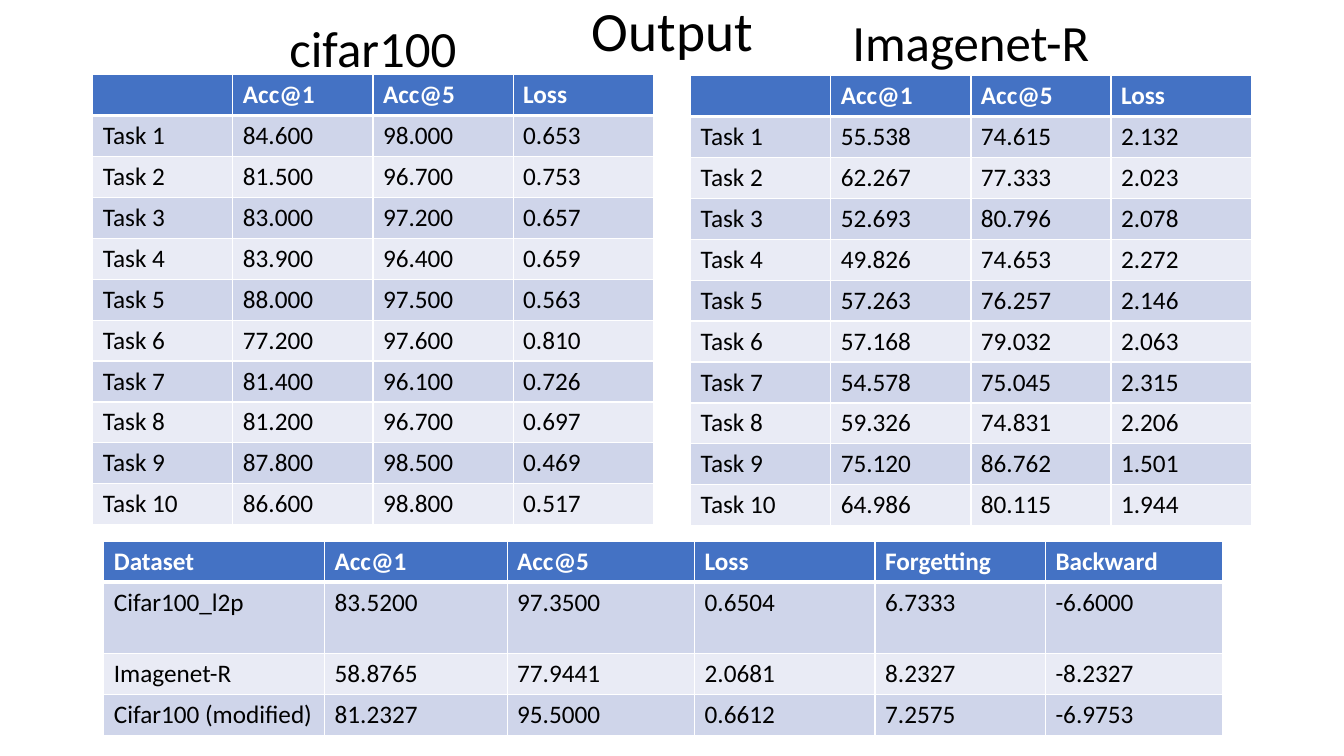
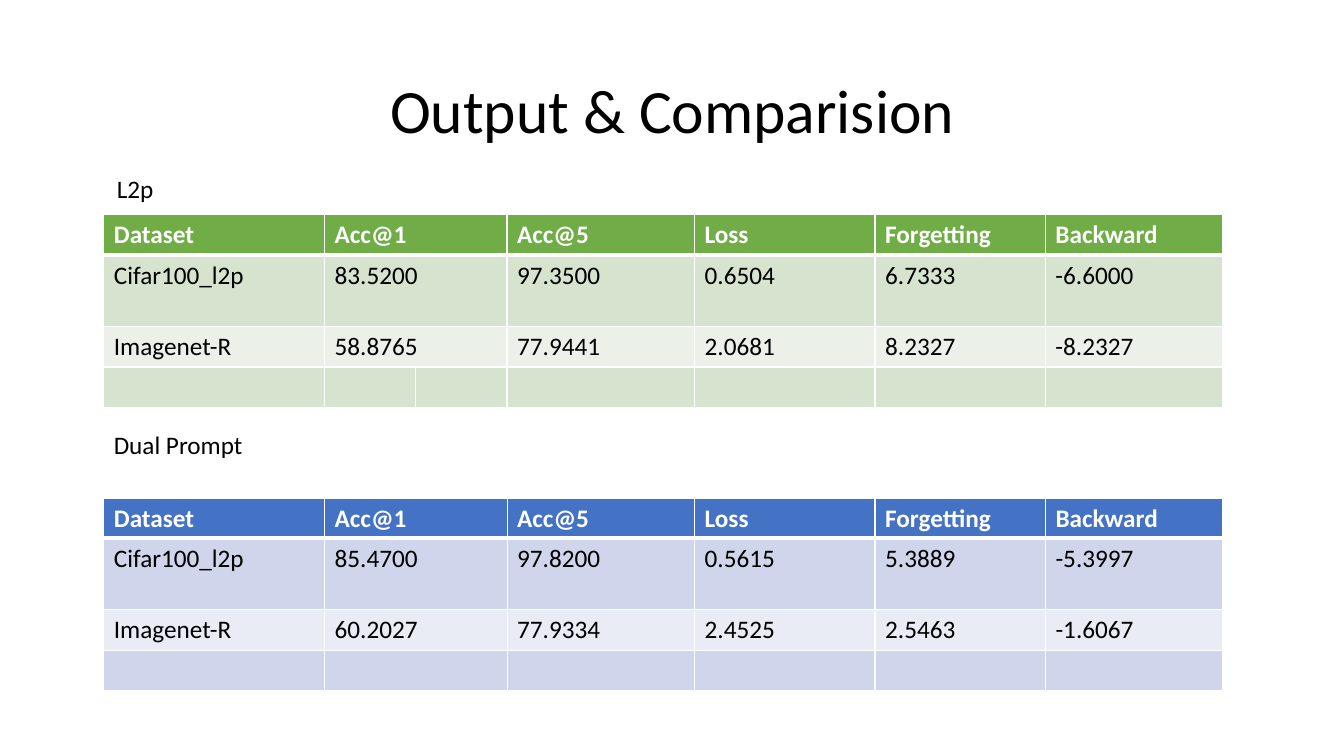
from collections import namedtuple

from lxml import etree
from pptx import Presentation
from pptx.dml.color import RGBColor
from pptx.enum import text as t
from pptx.oxml import ns
from pptx.util import Inches, Pt

FONT = "Calibri"
BLACK = RGBColor(0x00, 0x00, 0x00)
WHITE = RGBColor(0xFF, 0xFF, 0xFF)

# Header, odd row and even row fills of a table
Theme = namedtuple("Theme", "header odd even")
BLUE = Theme(RGBColor(0x44, 0x72, 0xC4), RGBColor(0xCF, 0xD5, 0xEA), RGBColor(0xE9, 0xEB, 0xF5))
GREEN = Theme(RGBColor(0x70, 0xAD, 0x47), RGBColor(0xD5, 0xE3, 0xCF), RGBColor(0xEB, 0xF1, 0xE9))

# Geometry in inches
TITLE_LEFT, TITLE_WIDTH = 0.92, 11.5
TASK_COLUMNS = [1.39] * 4
TASK_ROW = 0.406
SUMMARY_LEFT = 1.03
SUMMARY_COLUMNS = [2.19, 1.81, 1.86, 1.79, 1.69, 1.76]
SUMMARY_ROWS = [0.4, 0.71, 0.4, 0.4]

TASK_HEADER = ["", "Acc@1", "Acc@5", "Loss"]
SUMMARY_HEADER = ["Dataset", "Acc@1", "Acc@5", "Loss", "Forgetting", "Backward"]
EMPTY_ROW = [""] * len(SUMMARY_HEADER)

CIFAR_TASKS = [
    ("84.600", "98.000", "0.653"),
    ("81.500", "96.700", "0.753"),
    ("83.000", "97.200", "0.657"),
    ("83.900", "96.400", "0.659"),
    ("88.000", "97.500", "0.563"),
    ("77.200", "97.600", "0.810"),
    ("81.400", "96.100", "0.726"),
    ("81.200", "96.700", "0.697"),
    ("87.800", "98.500", "0.469"),
    ("86.600", "98.800", "0.517"),
]
IMAGENET_TASKS = [
    ("55.538", "74.615", "2.132"),
    ("62.267", "77.333", "2.023"),
    ("52.693", "80.796", "2.078"),
    ("49.826", "74.653", "2.272"),
    ("57.263", "76.257", "2.146"),
    ("57.168", "79.032", "2.063"),
    ("54.578", "75.045", "2.315"),
    ("59.326", "74.831", "2.206"),
    ("75.120", "86.762", "1.501"),
    ("64.986", "80.115", "1.944"),
]
L2P_RESULTS = [
    ["Cifar100_l2p", "83.5200", "97.3500", "0.6504", "6.7333", "-6.6000"],
    ["Imagenet-R", "58.8765", "77.9441", "2.0681", "8.2327", "-8.2327"],
]
MODIFIED_RESULT = ["Cifar100 (modified)", "81.2327", "95.5000", "0.6612", "7.2575", "-6.9753"]
DUAL_PROMPT_RESULTS = [
    ["Cifar100_l2p", "85.4700", "97.8200", "0.5615", "5.3889", "-5.3997"],
    ["Imagenet-R", "60.2027", "77.9334", "2.4525", "2.5463", "-1.6067"],
]


def set_text(frame, words, size, color=BLACK, bold=False):
    """Fill a text frame with one formatted paragraph."""
    frame.text = words
    para = frame.paragraphs[0]
    for span in para.runs:
        font = span.font
        font.name, font.size, font.bold = FONT, Pt(size), bold
        font.color.rgb = color
    return para


def add_title(page, words, top, height, size):
    title = page.shapes.title
    title.left, title.top = Inches(TITLE_LEFT), Inches(top)
    title.width, title.height = Inches(TITLE_WIDTH), Inches(height)
    frame = title.text_frame
    frame.auto_size = t.MSO_AUTO_SIZE.NONE
    frame.vertical_anchor = t.MSO_ANCHOR.MIDDLE
    para = set_text(frame, words, size)
    para.alignment = t.PP_ALIGN.CENTER
    para.line_spacing = 0.9


def add_label(page, words, left, top, width, height=0.4, size=18):
    box = page.shapes.add_textbox(Inches(left), Inches(top), Inches(width), Inches(height))
    box.text_frame.word_wrap = True
    return box.text_frame, set_text(box.text_frame, words, size)


def add_borders(cell, top, bottom):
    """Draw white borders; top and bottom are widths in points."""
    properties = cell._tc.get_or_add_tcPr()
    for tag, width in (("a:lnL", 1), ("a:lnR", 1), ("a:lnT", top), ("a:lnB", bottom)):
        line = etree.SubElement(properties, ns.qn(tag), w=str(Pt(width)))
        fill = etree.SubElement(line, ns.qn("a:solidFill"))
        etree.SubElement(fill, ns.qn("a:srgbClr"), val=str(WHITE))


def add_grid(page, rows, left, top, widths, heights, theme):
    """Add a table with a header row and alternating body rows."""
    frame = page.shapes.add_table(
        len(rows), len(widths), Inches(left), Inches(top),
        Inches(sum(widths)), Inches(sum(heights)))
    table = frame.table
    table.horz_banding = False
    for column, width in zip(table.columns, widths):
        column.width = Inches(width)
    for row_index, (row, height, values) in enumerate(zip(table.rows, heights, rows)):
        row.height = Inches(height)
        is_header = row_index == 0
        fill = theme.header if is_header else (theme.even, theme.odd)[row_index % 2]
        for cell, value in zip(row.cells, values):
            add_borders(cell, top=3 if row_index == 1 else 1, bottom=3 if is_header else 1)
            cell.fill.solid()
            cell.fill.fore_color.rgb = fill
            set_text(cell.text_frame, value, 18, WHITE if is_header else BLACK, is_header)
    return table


def add_task_table(page, heading, tasks, left, top, heading_top):
    """Add a per-task table with its heading centred above."""
    rows = [TASK_HEADER]
    rows += [(f"Task {number}", *scores) for number, scores in enumerate(tasks, 1)]
    add_grid(page, rows, left, top, TASK_COLUMNS, [TASK_ROW] * len(rows), BLUE)
    frame, para = add_label(page, heading, left, heading_top, sum(TASK_COLUMNS), 0.59, 36.3)
    frame.vertical_anchor = t.MSO_ANCHOR.MIDDLE
    para.alignment = t.PP_ALIGN.CENTER
    para.line_spacing = 0.7


def add_summary_table(page, results, top, theme=BLUE, split_last=False):
    """Add a dataset summary; split_last halves Acc@1 in the last row."""
    rows = [SUMMARY_HEADER, *results]
    widths = SUMMARY_COLUMNS
    if split_last:
        half = widths[1] / 2
        widths = [widths[0], half, half, *widths[2:]]
        rows = [[*row[:2], "", *row[2:]] for row in rows]
    table = add_grid(page, rows, SUMMARY_LEFT, top, widths, SUMMARY_ROWS, theme)
    if split_last:
        for row_index in range(len(rows) - 1):
            table.cell(row_index, 1).merge(table.cell(row_index, 2))


def build_output(page):
    add_title(page, "Output", 0.04, 0.59, 39.6)
    add_summary_table(page, [*L2P_RESULTS, MODIFIED_RESULT], 5.37)
    add_task_table(page, "cifar100", CIFAR_TASKS, 0.92, 0.74, 0.25)
    add_task_table(page, "Imagenet-R", IMAGENET_TASKS, 6.85, 0.75, 0.19)


def build_comparison(page):
    add_title(page, "Output & Comparision", 0.4, 1.45, 44)
    add_label(page, "L2p", 1.06, 1.67, 1.12)
    add_summary_table(page, [*L2P_RESULTS, EMPTY_ROW], 2.13, GREEN, split_last=True)
    add_label(page, "Dual Prompt", SUMMARY_LEFT, 4.21, 1.68)
    add_summary_table(page, [*DUAL_PROMPT_RESULTS, EMPTY_ROW], 4.94)


def main():
    deck = Presentation()
    deck.slide_width, deck.slide_height = Inches(13.33), Inches(7.5)
    title_only = deck.slide_layouts[5]
    for build in (build_output, build_comparison):
        build(deck.slides.add_slide(title_only))
    deck.save("out.pptx")


if __name__ == "__main__":
    main()
